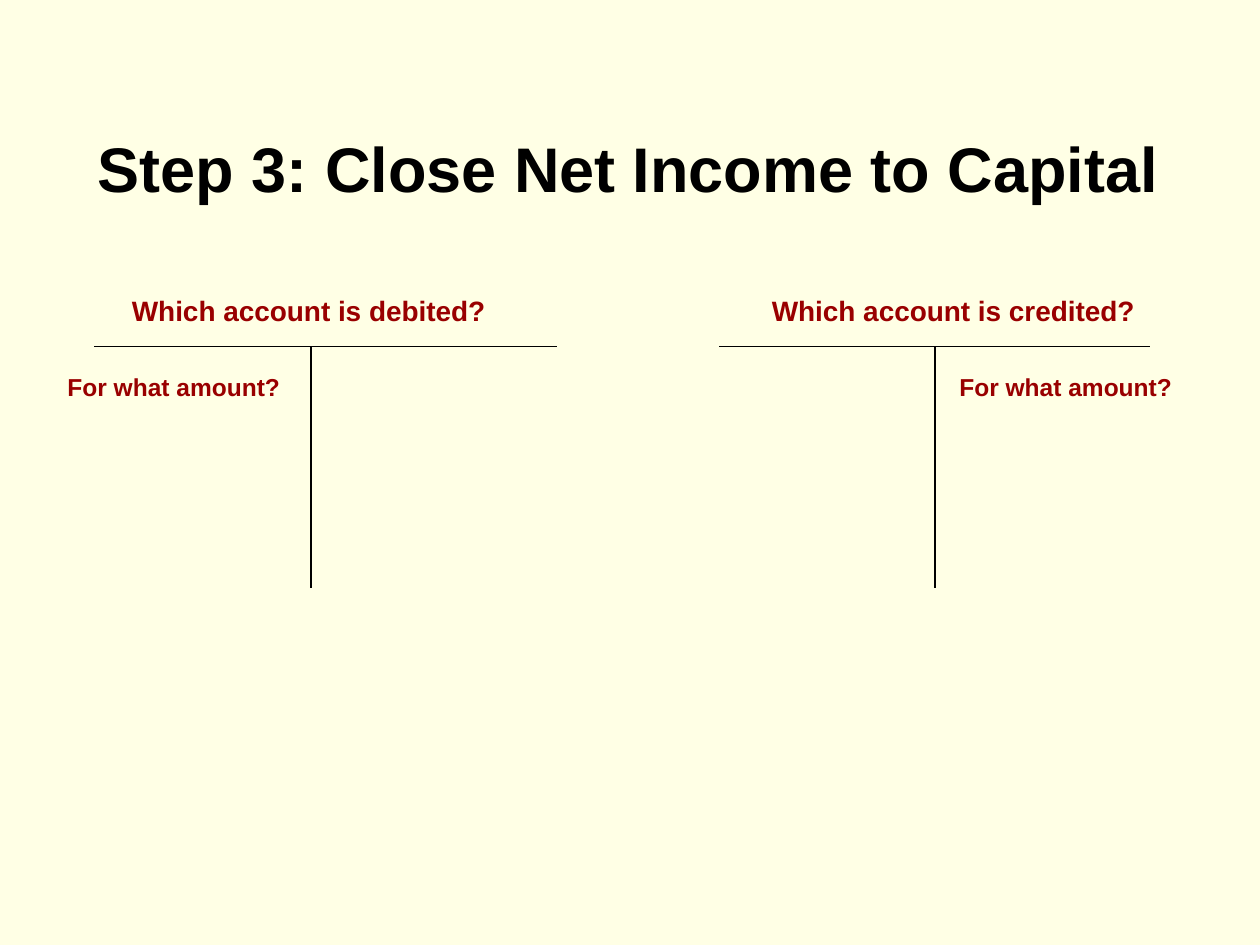
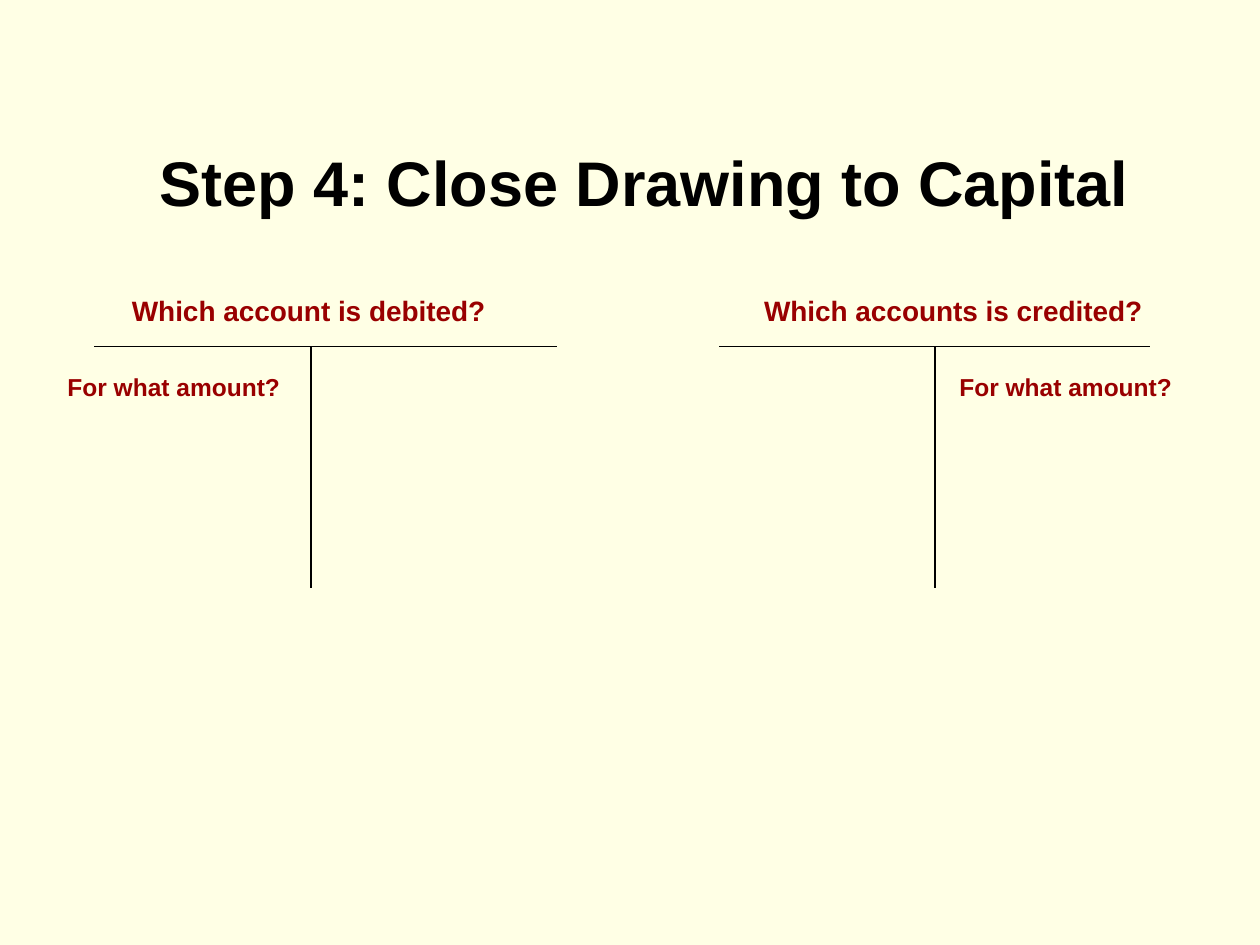
"""Build two slides of closing entries, each with a debit and a credit T account."""
import pptx
import pptx.dml.color
import pptx.enum.shapes
import pptx.enum.text
import pptx.util
from lxml import etree

Cm, Pt = pptx.util.Cm, pptx.util.Pt
LEFT, CENTER = pptx.enum.text.PP_ALIGN.LEFT, pptx.enum.text.PP_ALIGN.CENTER

AMOUNT = "For what amount?"
SLIDES = [
    {
        "title": "Step 3: Close Net Income to Capital",
        "title_box": (1.22, 2.49, 22.89, 1.78),
        "title_align": CENTER,
        "headings": ("Which account is debited?", "Which account is credited?"),
    },
    {
        "title": "Step 4: Close Drawing to Capital",
        "title_box": (2.97, 2.77, 21.79, 1.78),
        "title_align": LEFT,
        "headings": ("Which account is debited?", "Which accounts is credited?"),
    },
]
ACCOUNTS = [
    {"bar": (1.9, 11.23), "stem": 6.27, "heading_x": 2.41, "heading_w": 9.73,
     "align": LEFT, "amount_x": 1.11},
    {"bar": (14.5, 23.19), "stem": 18.85, "heading_x": 14.84, "heading_w": 8.76,
     "align": CENTER, "amount_x": 19.09},
]
COLORS = {"background": "FFFFE5", "title": "000000", "question": "990000", "line": "000000"}
FONT = "Arial"
HEADING_TOP, BAR_TOP, AMOUNT_TOP, STEM_END = 5.8, 6.99, 7.37, 11.86


def rgb(name):
    return pptx.dml.color.RGBColor.from_string(COLORS[name])


def add_text(s, text, box, size, color, align=LEFT):
    tf = s.shapes.add_textbox(*map(Cm, box)).text_frame
    tf.word_wrap = True
    p = tf.paragraphs[0]
    p.alignment = align
    r = p.add_run()
    r.text = text
    r.font.name, r.font.size, r.font.bold = FONT, Pt(size), True
    r.font.color.rgb = rgb(color)


def add_line(s, x1, y1, x2, y2):
    line = s.shapes.add_connector(
        pptx.enum.shapes.MSO_CONNECTOR.STRAIGHT, Cm(x1), Cm(y1), Cm(x2), Cm(y2))
    line.line.color.rgb = rgb("line")
    line.line.width = Pt(0.75)
    etree.SubElement(line._element.spPr, pptx.oxml.ns.qn("a:effectLst"))


def add_account(s, account, heading):
    left, right = account["bar"]
    stem = account["stem"]
    add_text(s, heading, (account["heading_x"], HEADING_TOP, account["heading_w"], 0.9),
             16, "question", account["align"])
    add_text(s, AMOUNT, (account["amount_x"], AMOUNT_TOP, 6, 0.86), 14, "question")
    add_line(s, left, BAR_TOP, right, BAR_TOP)
    add_line(s, stem, BAR_TOP, stem, STEM_END)


def main():
    prs = pptx.Presentation()
    prs.slide_width, prs.slide_height = Cm(25.4), Cm(19.05)
    for content in SLIDES:
        s = prs.slides.add_slide(prs.slide_layouts[6])
        s.background.fill.solid()
        s.background.fill.fore_color.rgb = rgb("background")
        for account, heading in zip(ACCOUNTS, content["headings"]):
            add_account(s, account, heading)
        add_text(s, content["title"], content["title_box"], 36, "title", content["title_align"])
    prs.save("out.pptx")


if __name__ == "__main__":
    main()
